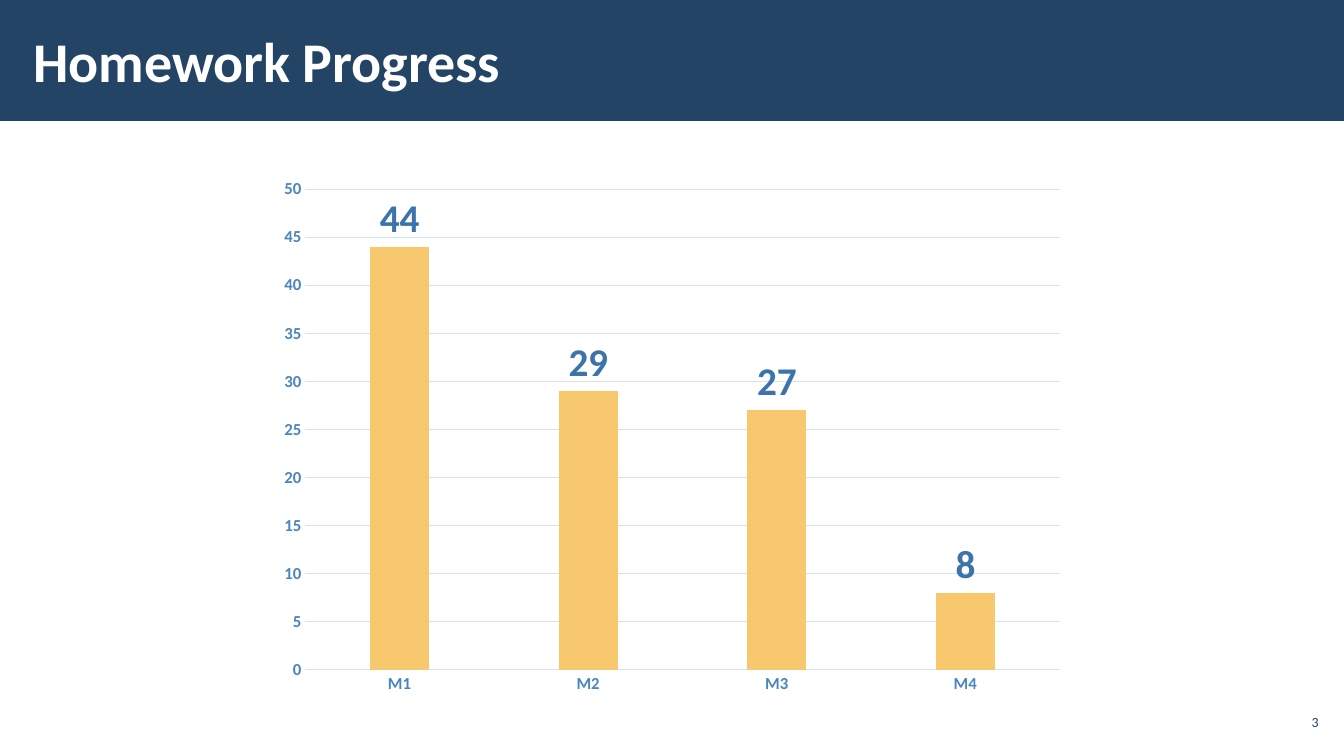
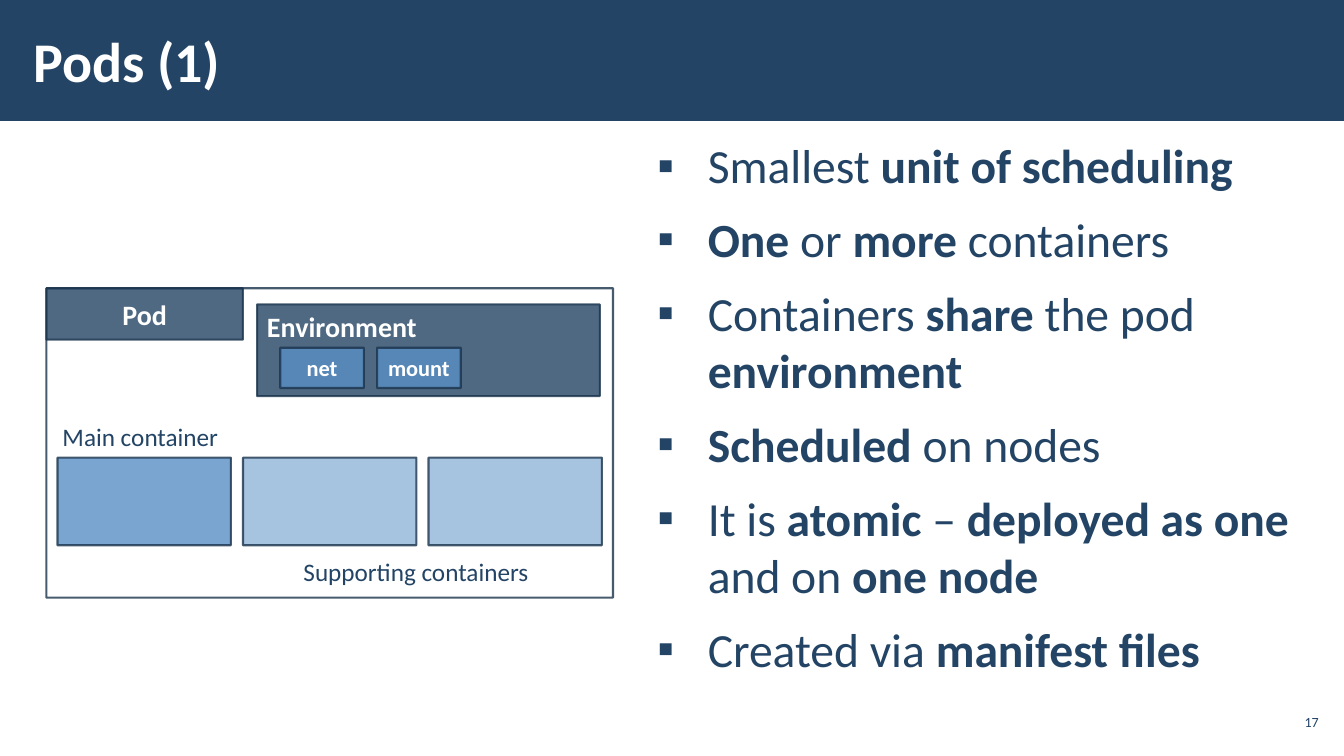
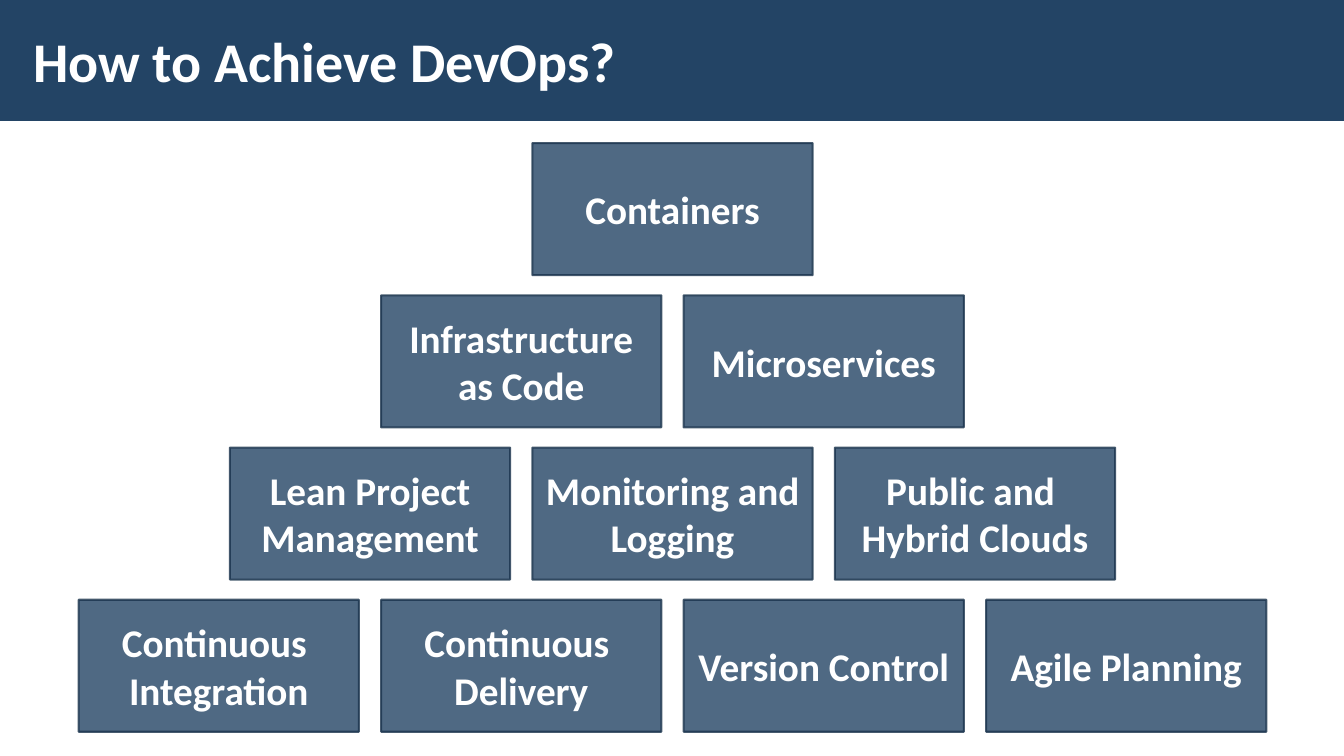
"""Build three DevOps course slides: homework chart, pod diagram and practice pyramid."""
from dataclasses import dataclass

from lxml import etree
from pptx import Presentation
from pptx.chart.data import CategoryChartData
from pptx.dml.color import RGBColor
from pptx.enum.chart import XL_CHART_TYPE, XL_LABEL_POSITION, XL_TICK_MARK
from pptx.enum.shapes import MSO_SHAPE
from pptx.enum.text import MSO_ANCHOR, MSO_AUTO_SIZE, PP_ALIGN
from pptx.oxml.ns import qn
from pptx.util import Inches, Pt

RECTANGLE = MSO_SHAPE.RECTANGLE
COLUMN_CLUSTERED = XL_CHART_TYPE.COLUMN_CLUSTERED
OUTSIDE_END = XL_LABEL_POSITION.OUTSIDE_END
NO_TICK = XL_TICK_MARK.NONE
TOP, MIDDLE = MSO_ANCHOR.TOP, MSO_ANCHOR.MIDDLE
LEFT, CENTER, RIGHT = PP_ALIGN.LEFT, PP_ALIGN.CENTER, PP_ALIGN.RIGHT
NO_FIT, GROW = MSO_AUTO_SIZE.NONE, MSO_AUTO_SIZE.SHAPE_TO_FIT_TEXT
TITLE_AND_CONTENT, TITLE_ONLY = 1, 5


@dataclass(frozen=True)
class Theme:
    """Colours, font and type sizes of the deck."""
    font: str = "Calibri"
    navy: str = "234465"
    outline: str = "1A334C"
    white: str = "FFFFFF"
    blue: str = "588FC5"
    light_blue: str = "90B4D8"
    axis: str = "4A85C0"
    grid: str = "D5E3F1"
    value: str = "3B73AA"
    gold: str = "F7C86D"
    title_size: int = 40
    body_size: int = 34
    block_size: int = 28
    label_size: int = 20
    caption_size: int = 18
    small_size: int = 16
    axis_size: int = 12
    number_size: int = 10
    opacity: int = 80


THEME = Theme()
SLIDE_WIDTH, SLIDE_HEIGHT = 13.33, 7.5
BAND = (0, 0, SLIDE_WIDTH, 1.2)
TITLE_BOX = (0.21, 0.11, 10.4, 0.97)
BODY_BOX = (6.4, 1.31, 6.74, 5.69)
NUMBER_BOX = (12.65, 6.99, 0.47, 0.34)
CHART_BOX = (2.66, 1.67, 8.01, 5.32)
PLACEHOLDER_INSETS = (0.12, 0.04)

HOMEWORK = {"M1": 44, "M2": 29, "M3": 27, "M4": 8}

POD_POINTS = [
    "Smallest **unit of scheduling**",
    "**One** or **more** containers",
    "Containers **share** the pod **environment**",
    "**Scheduled** on nodes",
    "It is **atomic** – **deployed as one **and on **one node**",
    "Created via **manifest files**",
]
POD_FRAME = (0.46, 2.86, 5.62, 3.07)
POD_LABEL = (0.46, 2.86, 1.95, 0.51)
ENVIRONMENT_BOX = (2.55, 3.02, 3.4, 0.91)
NAMESPACES = ["net", "mount"]
CONTAINER_FILLS = [THEME.blue, THEME.light_blue, THEME.light_blue]
POD_CAPTIONS = [
    ("Main container", (0.46, 4.03, 2.39, 0.56)),
    ("Supporting containers", (2.85, 5.37, 2.92, 0.56)),
]

PRACTICES = [
    [["Containers"]],
    [["Infrastructure as Code"], ["Microservices"]],
    [["Lean Project Management"], ["Monitoring and", "Logging"],
     ["Public and ", "Hybrid Clouds"]],
    [["Continuous ", "Integration"], ["Continuous ", "Delivery"],
     ["Version Control"], ["Agile Planning"]],
]


def inches(box):
    return [Inches(length) for length in box]


def style_font(font, size, color, bold=False):
    font.name, font.size, font.bold = THEME.font, Pt(size), bold
    font.color.rgb = RGBColor.from_string(color)


def write(paragraph, text, size, color, bold=False, align=LEFT):
    paragraph.alignment = align
    for index, part in enumerate(text.split("**")):
        if part:
            run = paragraph.add_run()
            run.text = part
            style_font(run.font, size, color, bold or index % 2 == 1)


def set_frame(frame, anchor=TOP, insets=None, fit=NO_FIT):
    frame.word_wrap, frame.auto_size, frame.vertical_anchor = True, fit, anchor
    if insets:
        frame.margin_left = frame.margin_right = Inches(insets[0])
        frame.margin_top = frame.margin_bottom = Inches(insets[1])


def paragraphs_for(frame, lines):
    for index, line in enumerate(lines):
        yield frame.add_paragraph() if index else frame.paragraphs[0], line


def place(shape, box):
    shape.left, shape.top, shape.width, shape.height = inches(box)


def add_rectangle(slide, box, fill):
    rectangle = slide.shapes.add_shape(RECTANGLE, *inches(box))
    rectangle.shadow.inherit = False
    rectangle.fill.solid()
    rectangle.fill.fore_color.rgb = RGBColor.from_string(fill)
    return rectangle


def add_block(slide, box, fill, lines=(), size=THEME.block_size, anchor=MIDDLE, align=CENTER):
    block = add_rectangle(slide, box, fill)
    block.line.color.rgb = RGBColor.from_string(THEME.outline)
    block.line.width = Pt(1.5)
    for color in block.element.spPr.iter(qn("a:srgbClr")):
        etree.SubElement(color, qn("a:alpha"), val=str(THEME.opacity * 1000))
    set_frame(block.text_frame, anchor)
    for paragraph, line in paragraphs_for(block.text_frame, lines):
        write(paragraph, line, size, THEME.white, True, align)


def add_text(slide, box, text, size, insets, anchor=TOP, align=LEFT, spacing=1.0, fit=NO_FIT):
    frame = slide.shapes.add_textbox(*inches(box)).text_frame
    set_frame(frame, anchor, insets, fit)
    frame.paragraphs[0].line_spacing = spacing
    write(frame.paragraphs[0], text, size, THEME.navy, align=align)


def add_slide(presentation, layout, title, number=None):
    slide = presentation.slides.add_slide(presentation.slide_layouts[layout])
    band = add_rectangle(slide, BAND, THEME.navy)
    band.line.fill.background()
    slide.shapes.element.insert(2, band.element)
    heading = slide.shapes.title
    place(heading, TITLE_BOX)
    set_frame(heading.text_frame, MIDDLE, PLACEHOLDER_INSETS)
    write(heading.text_frame.paragraphs[0], title, THEME.title_size, THEME.white, True)
    if number:
        add_text(slide, NUMBER_BOX, number, THEME.number_size, (0.04, 0.04), MIDDLE, RIGHT)
    return slide


def add_homework_chart(slide):
    data = CategoryChartData()
    data.categories = list(HOMEWORK)
    data.add_series("Series 1", list(HOMEWORK.values()))
    chart = slide.shapes.add_chart(COLUMN_CLUSTERED, *inches(CHART_BOX), data).chart
    chart.has_legend = chart.has_title = False
    style_font(chart.font, THEME.number_size, THEME.navy)
    for axis in (chart.category_axis, chart.value_axis):
        axis.major_tick_mark = axis.minor_tick_mark = NO_TICK
        style_font(axis.tick_labels.font, THEME.axis_size, THEME.axis, True)
    value_axis = chart.value_axis
    value_axis.minimum_scale, value_axis.maximum_scale, value_axis.major_unit = 0, 50, 5
    value_axis.format.line.fill.background()
    for line in (chart.category_axis.format.line, value_axis.major_gridlines.format.line):
        line.color.rgb = RGBColor.from_string(THEME.grid)
        line.width = Pt(0.75)
    plot = chart.plots[0]
    plot.gap_width, plot.overlap, plot.vary_by_categories = 219, -27, False
    series = plot.series[0]
    series.format.fill.solid()
    series.format.fill.fore_color.rgb = RGBColor.from_string(THEME.gold)
    labels = series.data_labels
    labels.show_value, labels.position = True, OUTSIDE_END
    style_font(labels.font, THEME.block_size, THEME.value, True)


def add_bullets(slide, points):
    body = slide.placeholders[1]
    place(body, BODY_BOX)
    set_frame(body.text_frame, TOP, PLACEHOLDER_INSETS)
    for paragraph, point in paragraphs_for(body.text_frame, points):
        write(paragraph, point, THEME.body_size, THEME.navy)
        paragraph.space_before = paragraph.space_after = Pt(6)
        properties = paragraph._p.get_or_add_pPr()
        properties.set("marL", str(Inches(0.5)))
        properties.set("indent", str(-Inches(0.5)))
        etree.SubElement(properties, qn("a:buChar"), char="▪")


def add_pod_diagram(slide):
    add_block(slide, POD_FRAME, THEME.white)
    add_block(slide, POD_LABEL, THEME.navy, ["Pod"], THEME.label_size)
    add_block(slide, ENVIRONMENT_BOX, THEME.navy, ["Environment"], THEME.label_size, TOP, LEFT)
    for index, name in enumerate(NAMESPACES):
        box = (2.78 + 0.96 * index, 3.45, 0.83, 0.4)
        add_block(slide, box, THEME.blue, [name], THEME.small_size)
    for index, fill in enumerate(CONTAINER_FILLS):
        add_block(slide, (0.57 + 1.84 * index, 4.54, 1.72, 0.87), fill)
    for text, box in POD_CAPTIONS:
        add_text(slide, box, text, THEME.caption_size, (0.16, 0.12), spacing=1.1, fit=GROW)


def add_pyramid(slide, rows, center=6.67, top=1.42, width=2.78, height=1.31, gap=0.22,
                row_pitch=1.51):
    for row_index, row in enumerate(rows):
        left = center - (len(row) * (width + gap) - gap) / 2
        for column, lines in enumerate(row):
            box = (left + column * (width + gap), top + row_index * row_pitch, width, height)
            add_block(slide, box, THEME.navy, lines)


def main():
    presentation = Presentation()
    presentation.slide_width = Inches(SLIDE_WIDTH)
    presentation.slide_height = Inches(SLIDE_HEIGHT)

    homework = add_slide(presentation, TITLE_ONLY, "Homework Progress", "3")
    add_homework_chart(homework)

    pods = add_slide(presentation, TITLE_AND_CONTENT, "Pods (1)", "17")
    add_bullets(pods, POD_POINTS)
    add_pod_diagram(pods)

    practices = add_slide(presentation, TITLE_ONLY, "How to Achieve DevOps?")
    add_pyramid(practices, PRACTICES)

    presentation.save("out.pptx")


if __name__ == "__main__":
    main()
